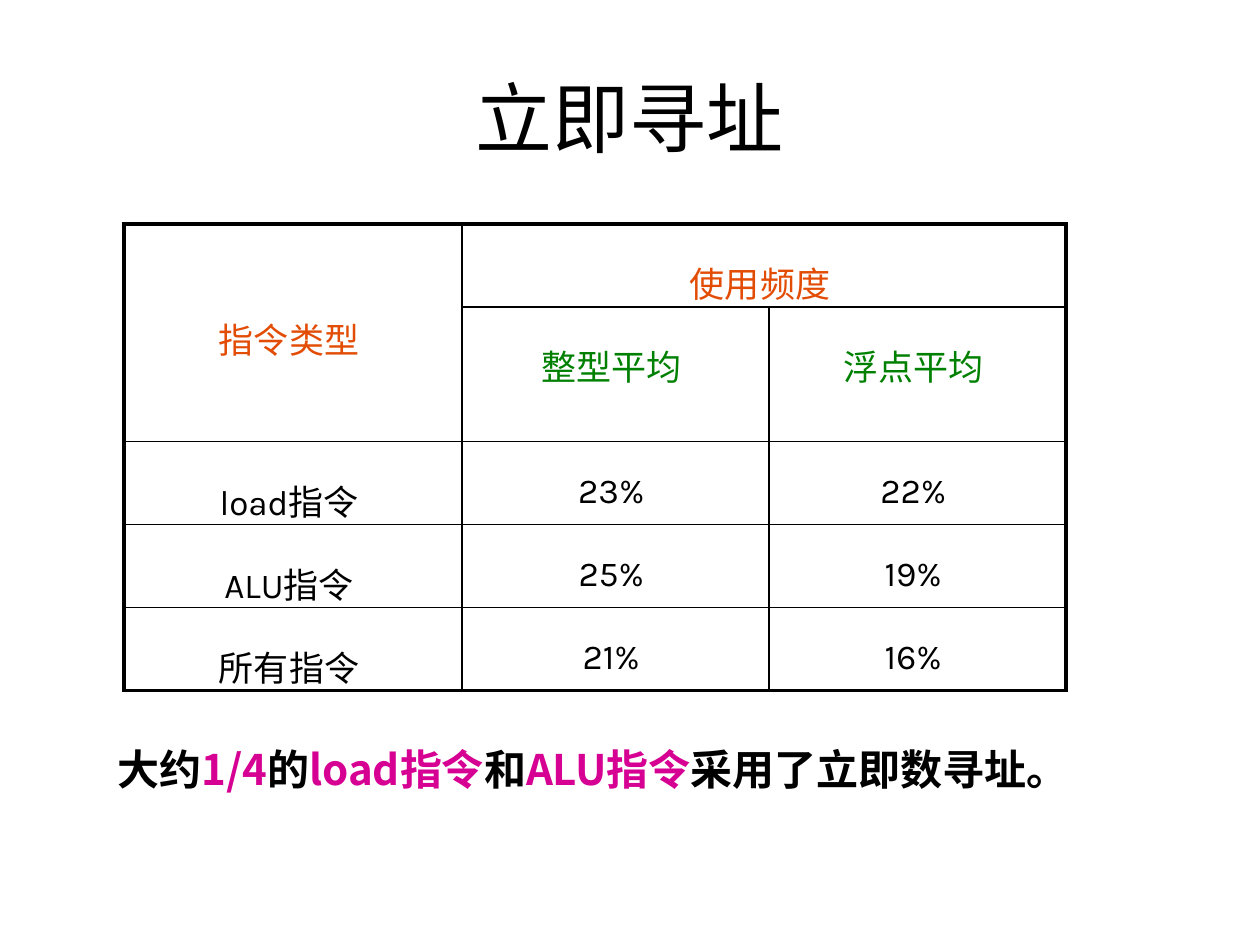
from dataclasses import dataclass
from typing import Any

from lxml.etree import SubElement
from pptx import Presentation
from pptx.dml.color import RGBColor
from pptx.enum.text import MSO_ANCHOR, MSO_AUTO_SIZE, PP_ALIGN
from pptx.oxml import parse_xml
from pptx.oxml.ns import nsdecls, qn
from pptx.util import Emu, Pt

PX_PER_INCH = 126
COLORS = {
    "ink": "000000",
    "heading": "E24C05",
    "subheading": "008000",
    "emphasis": "D60093",
}
CJK_FONT = "Noto Sans CJK SC"
TITLE_FORMAT = {"size": Pt(44), "name": "Calibri"}
CELL_FORMAT = {"size": Pt(20), "name": "Karla"}
SUMMARY_FORMAT = {"size": Pt(24), "name": CJK_FONT, "bold": True}
COLUMN_WIDTHS = (338, 307, 297)
ROW_HEIGHT = 83
ROW_COUNT = 5
INNER_LINE, OUTER_LINE = Pt(1), Pt(2.25)


@dataclass(frozen=True)
class Entry:
    row: int
    column: int
    text: str
    color: str = "ink"
    row_span: int = 1
    column_span: int = 1
    top_inset: int = 18


@dataclass(frozen=True)
class Phrase:
    text: str
    color: str = "ink"


HEADINGS = [
    Entry(0, 0, "指令类型 ", "heading", row_span=2, top_inset=74),
    Entry(0, 1, "使用频度 ", "heading", column_span=2),
    Entry(1, 1, "整型平均 ", "subheading"),
    Entry(1, 2, "浮点平均 ", "subheading"),
]
FREQUENCIES = [
    ("load指令 ", "23% ", "22% "),
    ("ALU指令 ", "25% ", "19% "),
    ("所有指令 ", "21% ", "16% "),
]
SUMMARY = [
    Phrase("大约"),
    Phrase("1/4", "emphasis"),
    Phrase("的"),
    Phrase("load指令", "emphasis"),
    Phrase("和"),
    Phrase("ALU指令", "emphasis"),
    Phrase("采用了立即数寻址。"),
]


def px(length: int) -> Emu:
    return Emu(round(length * 914400 / PX_PER_INCH))


def apply_format(target: Any, values: dict[str, Any]) -> None:
    for attribute, value in values.items():
        setattr(target, attribute, value)


def add_phrase(paragraph: Any, phrase: Phrase, font_format: dict[str, Any]) -> None:
    run = paragraph.add_run()
    run.text = phrase.text
    apply_format(run.font, font_format)
    run.font.color.rgb = RGBColor.from_string(COLORS[phrase.color])
    SubElement(run.font._element, qn("a:ea"), typeface=CJK_FONT)


def add_text(slide: Any, box: tuple[int, int, int, int], phrases: list[Phrase],
             font_format: dict[str, Any], frame_format: dict[str, Any],
             alignment: PP_ALIGN) -> None:
    frame = slide.shapes.add_textbox(*map(px, box)).text_frame
    apply_format(frame, {"word_wrap": True, **frame_format})
    frame.paragraphs[0].alignment = alignment
    for phrase in phrases:
        add_phrase(frame.paragraphs[0], phrase, font_format)


def set_borders(cell: Any, entry: Entry) -> None:
    on_edge = {
        "L": entry.column == 0,
        "R": entry.column + entry.column_span == len(COLUMN_WIDTHS),
        "T": entry.row == 0,
        "B": entry.row + entry.row_span == ROW_COUNT,
    }
    properties = cell._tc.get_or_add_tcPr()
    for position, (side, outer) in enumerate(on_edge.items()):
        width = OUTER_LINE if outer else INNER_LINE
        properties.insert(position, parse_xml(
            f'<a:ln{side} {nsdecls("a")} w="{width}"><a:solidFill>'
            f'<a:srgbClr val="{COLORS["ink"]}"/></a:solidFill></a:ln{side}>'))


def fill_entry(table: Any, entry: Entry) -> None:
    cell = table.cell(entry.row, entry.column)
    if entry.row_span > 1 or entry.column_span > 1:
        cell.merge(table.cell(entry.row + entry.row_span - 1,
                              entry.column + entry.column_span - 1))
    apply_format(cell, {
        "margin_left": px(13),
        "margin_right": px(13),
        "margin_top": px(entry.top_inset),
        "margin_bottom": px(6),
    })
    cell.fill.background()
    set_borders(cell, entry)
    paragraph = cell.text_frame.paragraphs[0]
    apply_format(paragraph, {"alignment": PP_ALIGN.CENTER, "line_spacing": 1.3})
    add_phrase(paragraph, Phrase(entry.text, entry.color), CELL_FORMAT)


def add_frequency_table(slide: Any) -> None:
    table = slide.shapes.add_table(
        ROW_COUNT, len(COLUMN_WIDTHS), px(124), px(224),
        px(sum(COLUMN_WIDTHS)), px(ROW_HEIGHT * ROW_COUNT)).table
    apply_format(table, {"first_row": False, "horz_banding": False})
    for column, width in zip(table.columns, COLUMN_WIDTHS):
        column.width = px(width)
    for row in table.rows:
        row.height = px(ROW_HEIGHT)
    body = [Entry(row, column, text)
            for row, texts in enumerate(FREQUENCIES, start=2)
            for column, text in enumerate(texts)]
    for entry in HEADINGS + body:
        fill_entry(table, entry)


def main() -> None:
    presentation = Presentation()
    apply_format(presentation, {"slide_width": px(1260), "slide_height": px(945)})
    slide = presentation.slides.add_slide(presentation.slide_layouts[6])
    add_text(slide, (63, 38, 1134, 157), [Phrase("立即寻址")], TITLE_FORMAT,
             {"vertical_anchor": MSO_ANCHOR.MIDDLE}, PP_ALIGN.CENTER)
    add_frequency_table(slide)
    add_text(slide, (105, 737, 953, 67), SUMMARY, SUMMARY_FORMAT,
             {"auto_size": MSO_AUTO_SIZE.SHAPE_TO_FIT_TEXT}, PP_ALIGN.LEFT)
    presentation.save("out.pptx")


if __name__ == "__main__":
    main()
